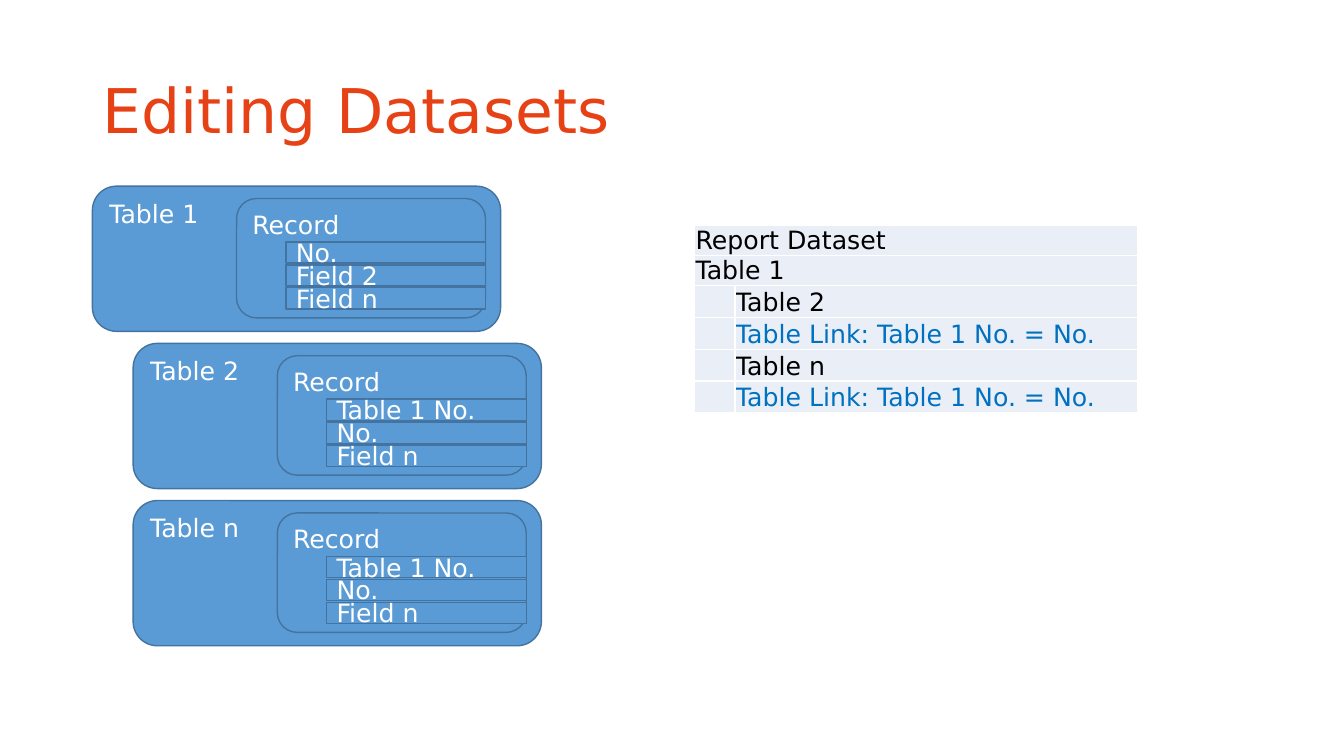
from lxml import etree
from pptx import Presentation
from pptx.dml.color import RGBColor
from pptx.enum.shapes import MSO_SHAPE
from pptx.enum.text import MSO_ANCHOR, MSO_AUTO_SIZE, PP_ALIGN
from pptx.oxml.ns import qn
from pptx.util import Pt

ROUNDED, RECTANGLE = MSO_SHAPE.ROUNDED_RECTANGLE, MSO_SHAPE.RECTANGLE
TOP, MIDDLE, BOTTOM = MSO_ANCHOR.TOP, MSO_ANCHOR.MIDDLE, MSO_ANCHOR.BOTTOM
LEFT = PP_ALIGN.LEFT
NO_AUTOFIT = MSO_AUTO_SIZE.NONE
TITLE_ONLY = 5

TITLE_RED, WHITE, BLACK = "E64215", "FFFFFF", "000000"
BOX_BLUE, BOX_EDGE = "5B9BD5", "43739E"
CELL_FILL, LINK_BLUE = "EAEFF7", "0070C0"


def color(code):
    return RGBColor.from_string(code)


def place(item, left, top, width, height):
    item.left, item.top = Pt(left), Pt(top)
    item.width, item.height = Pt(width), Pt(height)


class SlideBuilder:
    font_name = "DejaVu Sans"
    text_size = 18

    def __init__(self, page):
        self.page = page

    def add_text(self, frame, text, code, size=text_size):
        para = frame.paragraphs[0]
        para.alignment = LEFT
        span = para.add_run()
        span.text = text
        span.font.name = self.font_name
        span.font.size = Pt(size)
        span.font.color.rgb = color(code)
        return para

    def title(self, text, *bounds):
        holder = self.page.shapes.title
        place(holder, *bounds)
        frame = holder.text_frame
        frame.auto_size = NO_AUTOFIT
        frame.vertical_anchor = MIDDLE
        self.add_text(frame, text, TITLE_RED, 44).line_spacing = 0.9

    def box(self, kind, text, anchor, left, top, width, height):
        shape = self.page.shapes.add_shape(
            kind, Pt(left), Pt(top), Pt(width), Pt(height))
        shape.shadow.inherit = False
        shape.fill.solid()
        shape.fill.fore_color.rgb = color(BOX_BLUE)
        shape.line.color.rgb = color(BOX_EDGE)
        shape.line.width = Pt(1)
        shape.text_frame.word_wrap = True
        shape.text_frame.vertical_anchor = anchor
        self.add_text(shape.text_frame, text, WHITE)

    def source_table(self, name, fields, left, top):
        """Draw a table box holding one record and its stacked fields."""
        self.box(ROUNDED, name, TOP, left, top, 291.6, 103.7)
        self.box(ROUNDED, "Record", TOP, left + 103, top + 8.8, 177.8, 85.3)
        for index, field in enumerate(fields):
            self.box(RECTANGLE, field, MIDDLE, left + 138.2,
                     top + 39.8 + 16.4 * index, 142.6, 15.2)

    def cell_borders(self, cell):
        properties = cell._tc.get_or_add_tcPr()
        for side in ("a:lnL", "a:lnR", "a:lnT", "a:lnB"):
            edge = etree.SubElement(properties, qn(side), w=str(Pt(1)))
            fill = etree.SubElement(edge, qn("a:solidFill"))
            etree.SubElement(fill, qn("a:srgbClr"), val=WHITE)

    def dataset_table(self, rows, left, top, widths, row_height):
        """Draw rows of (indented, text, colour); unindented rows span both columns."""
        table = self.page.shapes.add_table(
            len(rows), len(widths), Pt(left), Pt(top),
            Pt(sum(widths)), Pt(row_height * len(rows))).table
        table.first_row = table.horz_banding = False
        for column, width in zip(table.columns, widths):
            column.width = Pt(width)
        for index, (indented, text, code) in enumerate(rows):
            table.rows[index].height = Pt(row_height)
            for cell in table.rows[index].cells:
                self.cell_borders(cell)
                cell.fill.solid()
                cell.fill.fore_color.rgb = color(CELL_FILL)
                cell.margin_left = cell.margin_right = cell.margin_top = Pt(0.7)
                cell.margin_bottom = 0
                cell.vertical_anchor = BOTTOM
                cell.text_frame.paragraphs[0].font.size = Pt(self.text_size)
            if not indented:
                table.cell(index, 0).merge(table.cell(index, 1))
            self.add_text(table.cell(index, int(indented)).text_frame, text, code)


def main():
    deck = Presentation()
    deck.slide_width, deck.slide_height = Pt(960), Pt(540)
    builder = SlideBuilder(deck.slides.add_slide(deck.slide_layouts[TITLE_ONLY]))
    builder.title("Editing Datasets", 66, 28.8, 828, 104.4)

    linked_fields = ("Table 1 No.", "No.", "Field n")
    sources = (
        ("Table 1", ("No.", "Field 2", "Field n"), 66),
        ("Table 2", linked_fields, 95.1),
        ("Table n", linked_fields, 95.1),
    )
    for index, (name, fields, left) in enumerate(sources):
        builder.source_table(name, fields, left, 133 + 112.3 * index)

    link = (True, "Table Link: Table 1 No. = No.", LINK_BLUE)
    rows = (
        (False, "Report Dataset", BLACK),
        (False, "Table 1", BLACK),
        (True, "Table 2", BLACK),
        link,
        (True, "Table n", BLACK),
        link,
    )
    builder.dataset_table(rows, 496.2, 160.9, (28.8, 287.4), 21.6)
    deck.save("out.pptx")


if __name__ == "__main__":
    main()
